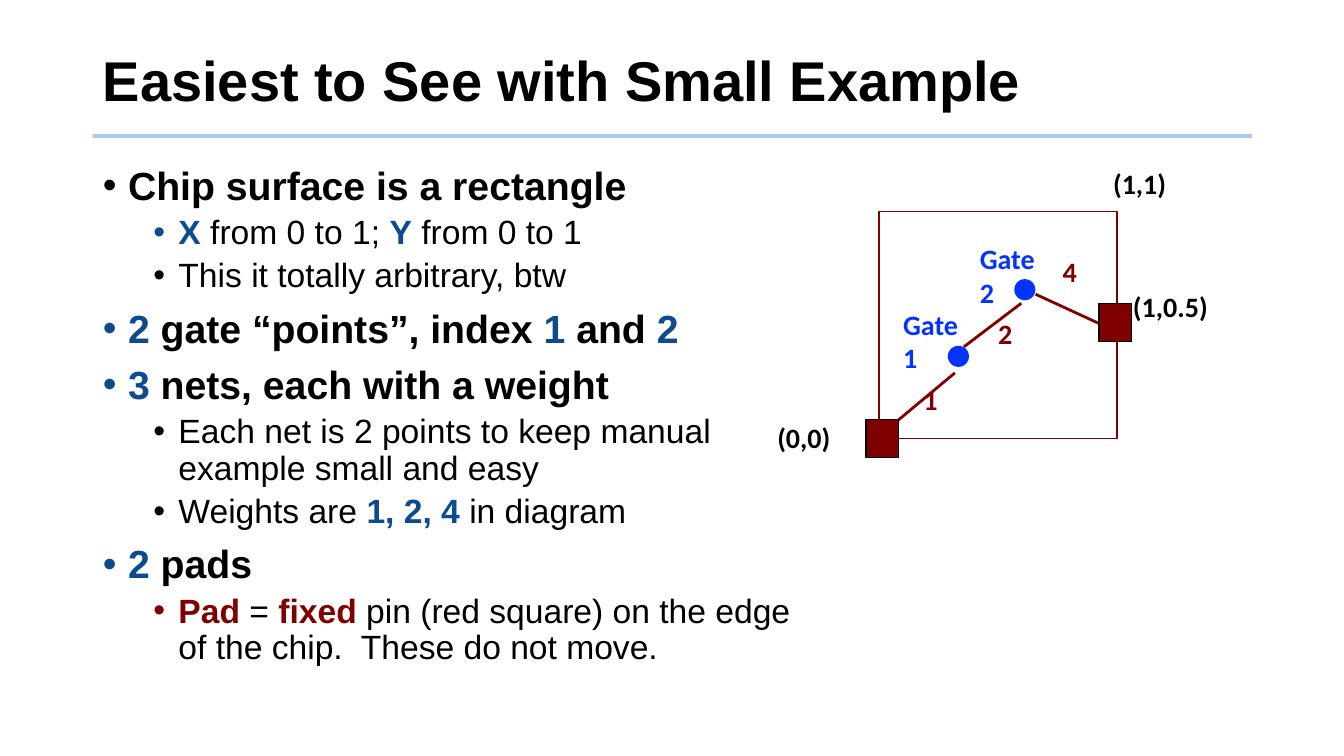
from lxml.etree import SubElement
from pptx import Presentation
from pptx.dml.color import RGBColor
from pptx.enum.shapes import MSO_CONNECTOR as Link, MSO_SHAPE as Preset
from pptx.enum.text import MSO_ANCHOR as Anchor, MSO_AUTO_SIZE as Fit, PP_ALIGN as Align
from pptx.oxml.ns import qn
from pptx.util import Inches, Pt

BLACK, NAVY, MAROON, BLUE, RULE = "000000", "0B4B8E", "800000", "0432FF", "5B9BD5"

TITLE = "Easiest to See with Small Example"
BULLETS = [
    (0, [("Chip surface is a rectangle", BLACK, True)]),
    (1, [("X", NAVY, True), (" from 0 to 1; ", BLACK, False),
         ("Y", NAVY, True), (" from 0 to 1", BLACK, False)]),
    (1, [("This it totally arbitrary, btw", BLACK, False)]),
    (0, [("2", NAVY, True), (" gate “points”, index ", BLACK, True), ("1", NAVY, True),
         (" and ", BLACK, True), ("2", NAVY, True)]),
    (0, [("3", NAVY, True), (" nets, each with a weight", BLACK, True)]),
    (1, [("Each net is 2 points to keep manual example small and easy", BLACK, False)]),
    (1, [("Weights are ", BLACK, False), ("1, 2, 4", NAVY, True),
         (" in diagram", BLACK, False)]),
    (0, [("2", NAVY, True), (" pads", BLACK, True)]),
    (1, [("Pad ", MAROON, True), ("= ", BLACK, False), ("fixed ", MAROON, True),
         ("pin (red square) on the edge of the chip.  These do not move.", BLACK, False)]),
]
LEVELS = [(28, 10, 0.25), (24, 5, 0.75)]
HANG = 0.25

WIDTH, HEIGHT = 13.33, 7.5
MARGIN, TITLE_WIDTH, RULE_TOP = 0.92, 11.5, 1.35

# Diagram places are percentages of the chip, measured from its lower left corner.
CHIP_LEFT, CHIP_TOP, CHIP_WIDTH, CHIP_HEIGHT = 8.72, 2.1, 2.36, 2.25
NETS = [((31.8, 28.9), (0.8, 1.8)), ((59.7, 59.6), (35.6, 40.4)),
        ((95.3, 49.3), (65.7, 63.6))]
GATES = [(33.3, 36.2), (61.2, 65.6)]
PADS = [(1.3, 0), (99.2, 51.1)]
GATE_SIZE, PAD_SIZE = (0.21, 0.21), (0.32, 0.38)
LABELS = [
    ("Gate 1", 5.9, 60, 0.9, BLUE), ("Gate 2", 38.1, 88.9, 0.9, BLUE),
    ("1", 14.4, 26.7, 0.51, MAROON), ("2", 45.8, 56, 0.51, MAROON),
    ("4", 72.9, 83.1, 0.51, MAROON), ("(0,0)", -47, 10.2, 1.11, BLACK),
    ("(1,0.5)", 102.5, 68, 1.44, BLACK), ("(1,1)", 94.1, 122.2, 1.11, BLACK),
]
LABEL_HEIGHT = 0.62


def colour(value):
    return RGBColor.from_string(value)


def spot(x, y):
    return CHIP_LEFT + CHIP_WIDTH * x / 100, CHIP_TOP + CHIP_HEIGHT * (1 - y / 100)


def add_span(para, text, size, font, value, bold):
    span = para.add_run()
    span.text = text
    span.font.size, span.font.name, span.font.bold = Pt(size), font, bold
    span.font.color.rgb = colour(value)


def place(shape, *box):
    shape.left, shape.top, shape.width, shape.height = [Inches(side) for side in box]


def add_line(page, start, end, value, weight):
    line = page.shapes.add_connector(Link.STRAIGHT, *[Inches(n) for n in (*start, *end)])
    line.line.color.rgb, line.line.width = colour(value), Pt(weight)
    SubElement(line.element.spPr, qn("a:effectLst"))
    return line


def add_block(page, preset, box, fill, edge):
    shape = page.shapes.add_shape(preset, *[Inches(side) for side in box])
    shape.shadow.inherit = False
    if fill:
        shape.fill.solid()
        shape.fill.fore_color.rgb = colour(fill)
    else:
        shape.fill.background()
    if edge:
        shape.line.color.rgb, shape.line.width = colour(edge), Pt(1)
    else:
        shape.line.fill.background()


def add_centred(page, preset, point, size, fill, edge):
    (x, y), (width, height) = spot(*point), size
    add_block(page, preset, (x - width / 2, y - height / 2, width, height), fill, edge)


def fill_title(page):
    title = page.shapes.title
    place(title, MARGIN, 0.28, TITLE_WIDTH, 1.1)
    frame = title.text_frame
    frame.vertical_anchor, frame.auto_size = Anchor.MIDDLE, Fit.NONE
    para = frame.paragraphs[0]
    para.alignment, para.line_spacing = Align.LEFT, 0.9
    add_span(para, TITLE, 40, "Arial", BLACK, True)
    rule = add_line(page, (MARGIN, RULE_TOP), (MARGIN + TITLE_WIDTH, RULE_TOP), RULE, 3)
    for tint in rule.element.iter(qn("a:srgbClr")):
        SubElement(tint, qn("a:alpha"), val="50000")


def fill_body(page):
    body = page.placeholders[1]
    place(body, MARGIN, 1.6, 7.21, 5.15)
    frame = body.text_frame
    frame.auto_size = Fit.NONE
    for number, (level, spans) in enumerate(BULLETS):
        para = frame.add_paragraph() if number else frame.paragraphs[0]
        size, before, indent = LEVELS[level]
        para.level, para.line_spacing = level, 0.9
        para.space_before, para.space_after = Pt(before), Pt(0)
        rules = para._p.get_or_add_pPr()
        rules.set("marL", str(Inches(indent)))
        rules.set("indent", str(-Inches(HANG)))
        SubElement(rules, qn("a:buFont"), typeface="Arial")
        SubElement(rules, qn("a:buChar"), char="•")
        for text, value, bold in spans:
            add_span(para, text, size, "Arial", value, bold)


def draw_chip(page):
    add_block(page, Preset.RECTANGLE, (CHIP_LEFT, CHIP_TOP, CHIP_WIDTH, CHIP_HEIGHT),
              None, MAROON)
    for start, end in NETS:
        add_line(page, spot(*start), spot(*end), MAROON, 2)
    for gate in GATES:
        add_centred(page, Preset.OVAL, gate, GATE_SIZE, BLUE, None)
    for pad in PADS:
        add_centred(page, Preset.RECTANGLE, pad, PAD_SIZE, MAROON, BLACK)
    for text, x, y, width, value in LABELS:
        box = page.shapes.add_textbox(
            *[Inches(side) for side in (*spot(x, y), width, LABEL_HEIGHT)])
        box.text_frame.word_wrap = True
        add_span(box.text_frame.paragraphs[0], text, 20, "Calibri", value, True)


def main():
    deck = Presentation()
    deck.slide_width, deck.slide_height = Inches(WIDTH), Inches(HEIGHT)
    page = deck.slides.add_slide(deck.slide_layouts[1])
    fill_title(page)
    fill_body(page)
    draw_chip(page)
    deck.save("out.pptx")


if __name__ == "__main__":
    main()
